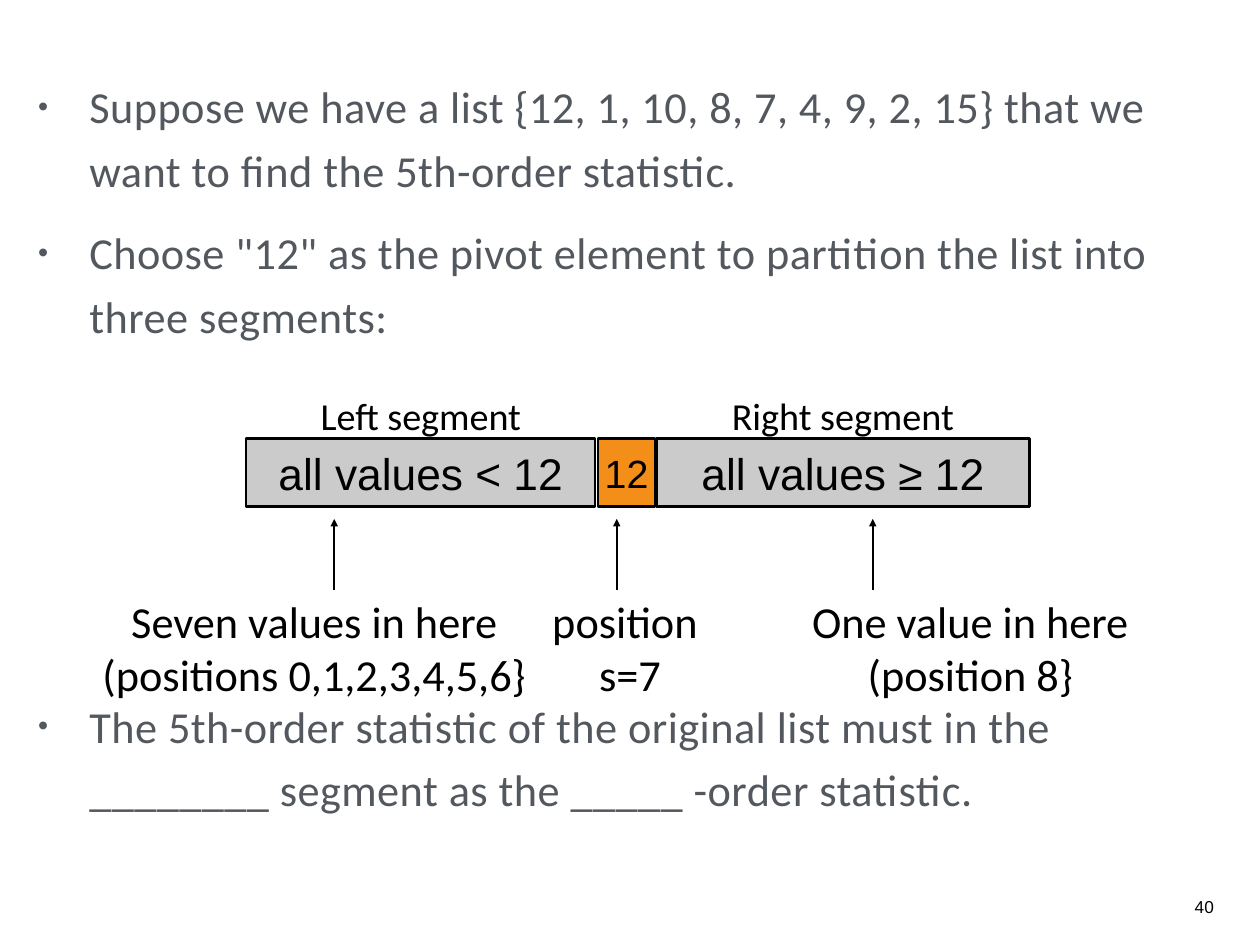
from pptx import Presentation
from pptx import util as u
from pptx.dml.color import RGBColor
from pptx.enum import shapes, text
from pptx.oxml.ns import qn
from lxml import etree


def colour(code):
    return RGBColor.from_string(code)


class SlideWriter:
    heading_font = "Calibri"
    label_font = "Arial"
    ink = "000000"
    body_ink = "53585F"
    segment_fill = "CBCBCB"
    pivot_fill = "F38F18"
    inset = 0.15
    line_width = 2
    size = 36

    def __init__(self, slide):
        self.slide = slide

    def set_frame(self, frame, inset, anchor, wrap=True, grow=False):
        for side in ("left", "top", "right", "bottom"):
            setattr(frame, f"margin_{side}", u.Cm(inset))
        frame.vertical_anchor = anchor
        frame.word_wrap = wrap
        fit = text.MSO_AUTO_SIZE
        frame.auto_size = fit.SHAPE_TO_FIT_TEXT if grow else fit.NONE

    def paragraph(self, frame, index, words, font, size, ink, align):
        line = frame.add_paragraph() if index else frame.paragraphs[0]
        line.alignment = align
        run = line.add_run()
        run.text = words
        run.font.name = font
        run.font.size = u.Pt(size)
        run.font.color.rgb = colour(ink)
        return line

    def bullets(self, left, top, width, height, points):
        body = self.slide.placeholders[1]
        body.left, body.top = u.Cm(left), u.Cm(top)
        body.width, body.height = u.Cm(width), u.Cm(height)
        frame = body.text_frame
        self.set_frame(frame, 0, text.MSO_ANCHOR.TOP)
        for index, (words, space_before) in enumerate(points):
            point = self.paragraph(frame, index, words, self.heading_font, self.size,
                                   self.body_ink, text.PP_ALIGN.LEFT)
            point.line_spacing = 1.2
            point.space_before = u.Pt(space_before)
            point.runs[0].font._element.set("spc", "40")
            properties = point._p.get_or_add_pPr()
            properties.set("marL", str(u.Cm(1.47)))
            properties.set("indent", str(u.Cm(-1.47)))
            etree.SubElement(properties, qn("a:buSzPct"), val="65000")
            etree.SubElement(properties, qn("a:buChar"), char="•")

    def segment(self, left, width, words, fill, size=36, top=12.57, height=1.96):
        block = self.slide.shapes.add_shape(
            shapes.MSO_SHAPE.RECTANGLE, u.Cm(left), u.Cm(top), u.Cm(width), u.Cm(height))
        block.shadow.inherit = False
        block.fill.solid()
        block.fill.fore_color.rgb = colour(fill)
        block.line.color.rgb = colour(self.ink)
        block.line.width = u.Pt(self.line_width)
        self.set_frame(block.text_frame, self.inset, text.MSO_ANCHOR.MIDDLE)
        self.paragraph(block.text_frame, 0, words, self.label_font, size, self.ink,
                       text.PP_ALIGN.CENTER)

    def label(self, left, top, width, height, lines, size, font=heading_font,
              align=text.PP_ALIGN.CENTER, anchor=text.MSO_ANCHOR.MIDDLE):
        box = self.slide.shapes.add_textbox(u.Cm(left), u.Cm(top), u.Cm(width), u.Cm(height))
        self.set_frame(box.text_frame, self.inset, anchor, wrap=False, grow=True)
        for index, words in enumerate(lines):
            self.paragraph(box.text_frame, index, words, font, size, self.ink, align)

    def arrow_up(self, x, bottom=16.92, top=14.88):
        arrow = self.slide.shapes.add_connector(
            shapes.MSO_CONNECTOR.STRAIGHT, u.Cm(x), u.Cm(bottom), u.Cm(x), u.Cm(top))
        arrow.line.color.rgb = colour(self.ink)
        arrow.line.width = u.Pt(self.line_width)
        etree.SubElement(arrow.line._get_or_add_ln(), qn("a:tailEnd"), type="triangle")
        etree.SubElement(arrow._element.spPr, qn("a:effectLst"))


def main():
    deck = Presentation()
    deck.slide_width, deck.slide_height = u.Cm(36.12), u.Cm(27.1)
    slide = deck.slides.add_slide(deck.slide_layouts[1])
    unused_title = slide.shapes.title._element
    unused_title.getparent().remove(unused_title)
    writer = SlideWriter(slide)

    writer.bullets(1.09, 1.98, 34.04, 23.98, [
        ("Suppose we have a list {12, 1, 10, 8, 7, 4, 9, 2, 15} that we want to find "
         "the 5th-order statistic.", 15),
        ('Choose "12" as the pivot element to partition the list into three segments:', 15),
        ("The 5th-order statistic of the original list must in the ________ segment "
         "as the _____ -order statistic.", 281),
    ])
    writer.label(34.09, 25.55, 0.86, 0.84, ["40"], 14, writer.label_font,
                 text.PP_ALIGN.RIGHT, text.MSO_ANCHOR.TOP)

    writer.segment(17.15, 1.63, "12", writer.pivot_fill, size=32)
    writer.segment(7.06, 10, "all values < 12", writer.segment_fill)
    writer.segment(18.82, 10.69, "all values ≥ 12", writer.segment_fill)

    for x in (9.58, 17.68, 25.02):
        writer.arrow_up(x)

    for left, width, lines in (
        (2.01, 14, ["Seven values in here", "(positions 0,1,2,3,4,5,6}"]),
        (15.24, 5.64, ["position ", "s=7"]),
        (22.48, 10.67, ["One value in here", "(position 8}"]),
    ):
        writer.label(left, 16.69, width, 3.73, lines, writer.size)

    for left, width, side in ((8.74, 6.65, "Left"), (20.45, 7.42, "Right")):
        writer.label(left, 11.02, width, 1.75, [f"{side} segment"], 31)

    deck.save("out.pptx")


if __name__ == "__main__":
    main()
